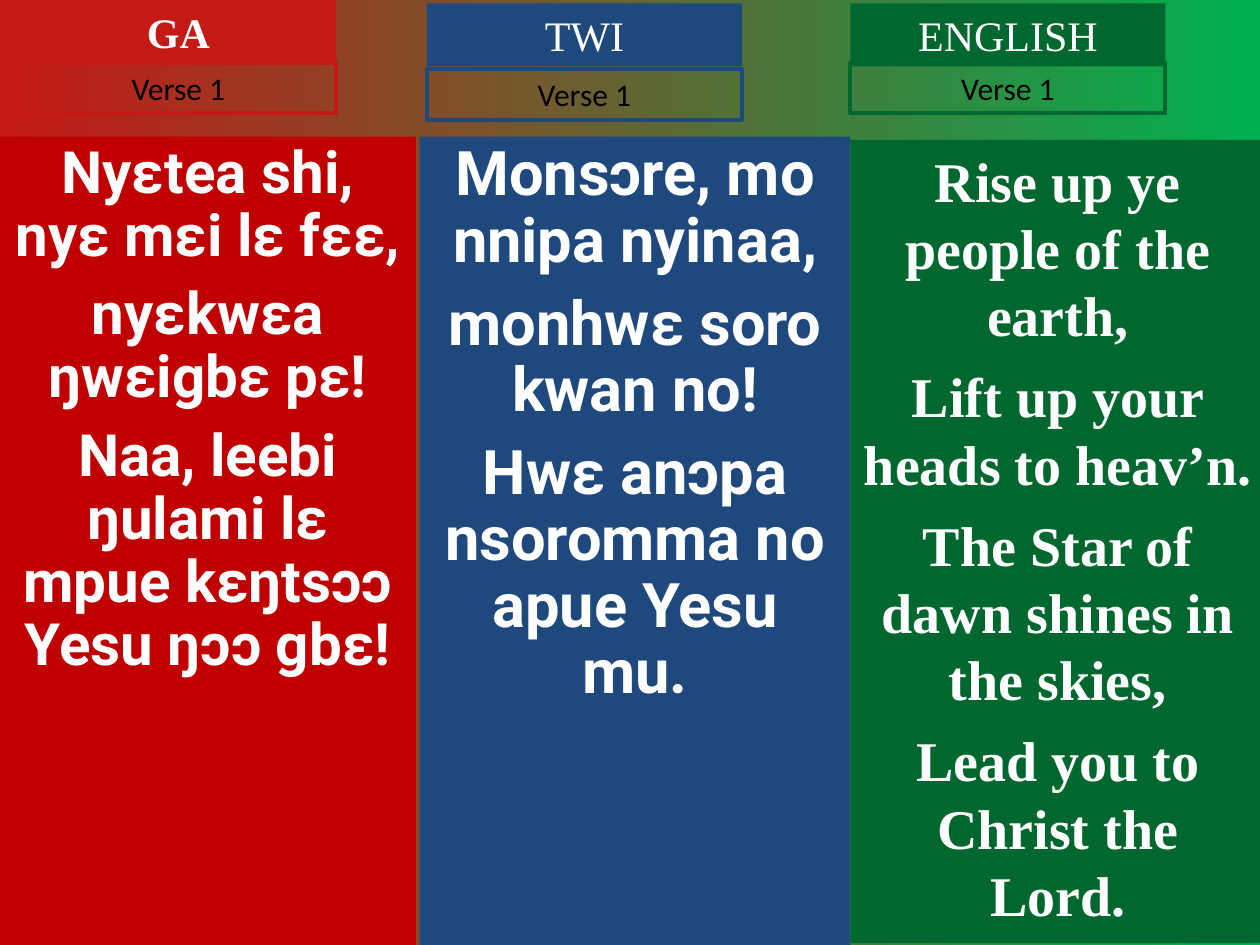
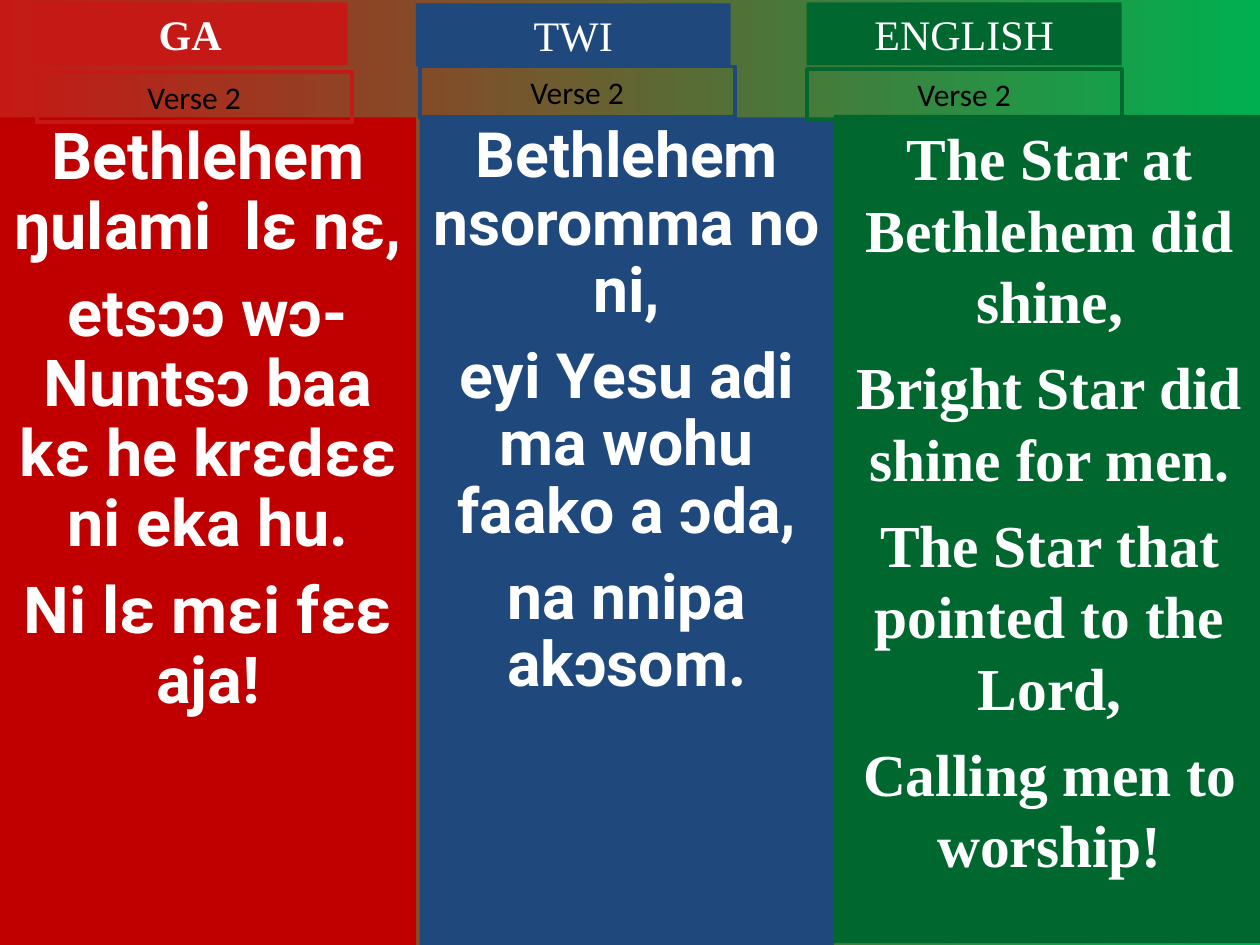
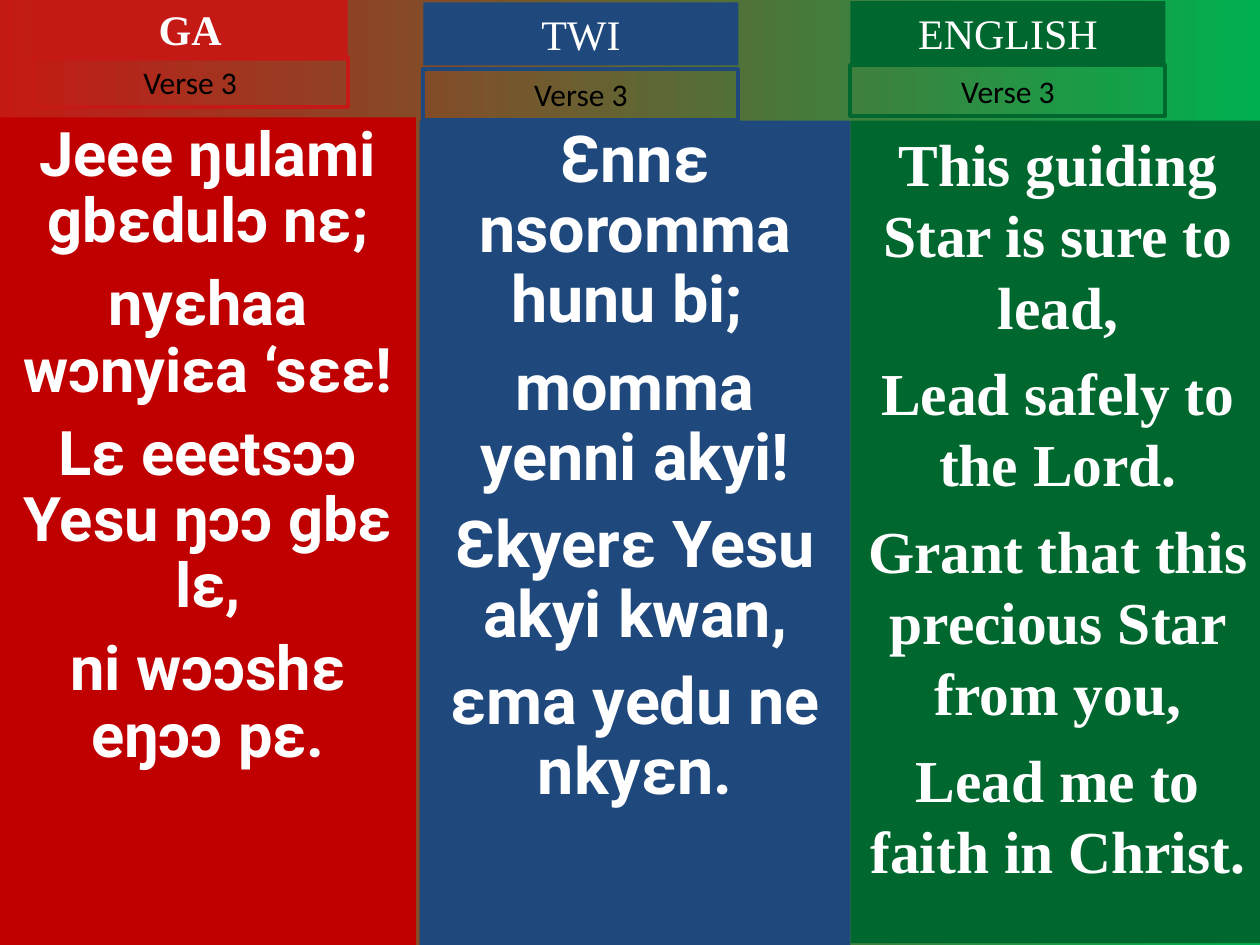
from dataclasses import dataclass

from pptx import Presentation
from pptx.dml.color import RGBColor
from pptx.enum import shapes, text
from pptx.util import Pt
from lxml import etree

WHITE, BLACK = "FFFFFF", "000000"
SERIF, SANS, PLAIN = "Times New Roman", "Roboto", "Calibri"
TAG_W, TAG_H, NOTE_H = 180, 36, 28.8


@dataclass
class Lang:
    name: str
    tint: str
    panel: str
    font: str
    space: float
    low: float
    bold: bool = False


@dataclass
class Part:
    """One language's share of a verse."""
    left: float
    right: float
    top: float
    tag: tuple[float, float]
    note: tuple[float, float]
    size: float
    gap: float
    lines: list[str]


LANGS = [
    Lang("GA", "C51915", "C00000", SANS, 0.9, 540, True),
    Lang("TWI", "1F497D", "1F497D", SANS, 0.9, 540),
    Lang("ENGLISH", "00682F", "00682F", SERIF, 1.0, 539),
]
GA_R, TWI_L, END = 237.6, 239.8, 723

VERSES = [
    [
        Part(0, GA_R, 78, (12, 0), (12, 36), 33.3, 9, [
            "Nyɛtea shi, nyɛ mɛi lɛ fɛɛ,",
            "nyɛkwɛa ŋwɛigbɛ pɛ!",
            "Naa, leebi ŋulami lɛ mpue kɛŋtsɔɔ Yesu ŋɔɔ gbɛ!"]),
        Part(TWI_L, 486, 78, (244, 2), (244, 39.6), 35.1, 9.5, [
            "Monsɔre, mo nnipa nyinaa,",
            "monhwɛ soro kwan no!",
            "Hwɛ anɔpa nsoromma no apue Yesu mu."]),
        Part(486, END, 80, (486, 2), (486, 36), 32, 8, [
            "Rise up ye people of the earth,",
            "Lift up your heads to heav’n.",
            "The Star of dawn shines in the skies,",
            "Lead you to Christ the Lord."]),
    ],
    [
        Part(0, GA_R, 67, (18.7, 1.4), (21, 41), 37, 10, [
            "Bethlehem ŋulami  lɛ nɛ,",
            "etsɔɔ wɔ-Nuntsɔ baa kɛ he krɛdɛɛ ni eka hu.",
            "Ni lɛ mɛi fɛɛ aja!"]),
        Part(TWI_L, 476.6, 67, (237.6, 2), (239.8, 38), 35.7, 10.5, [
            "Bethlehem nsoromma no ni,",
            "eyi Yesu adi ma wohu faako a ɔda,",
            "na nnipa akɔsom."]),
        Part(476.6, END, 65.7, (461, 1.4), (461, 39.6), 34, 8.5, [
            "The Star at Bethlehem did shine,",
            "Bright Star did shine for men.",
            "The Star that pointed to the Lord,",
            "Calling men to worship!"]),
    ],
    [
        Part(0, GA_R, 67, (18.7, -1.4), (18.7, 32.4), 35.1, 9.5, [
            "Jeee ŋulami gbɛdulɔ nɛ;",
            "nyɛhaa wɔnyiɛa ‘sɛɛ!",
            "Lɛ eeetsɔɔ Yesu ŋɔɔ gbɛ lɛ,",
            "ni wɔɔshɛ eŋɔɔ pɛ."]),
        Part(TWI_L, 486, 69, (242, 1.4), (242, 39.6), 37, 10, [
            "Ɛnnɛ nsoromma hunu bi; ",
            "momma yenni akyi!",
            "Ɛkyerɛ Yesu akyi kwan,",
            "ɛma yedu ne nkyɛn."]),
        Part(486, END, 69, (486, 0.7), (486, 37.4), 34, 8.5, [
            "This guiding Star is sure to lead,",
            "Lead safely to the Lord.",
            "Grant that this precious Star from you,",
            "Lead me to faith in Christ."]),
    ],
]


def paint(color, code: str) -> None:
    color.rgb = RGBColor.from_string(code)


def place(shape, left: float, top: float, wide: float, high: float) -> None:
    shape.left, shape.top = Pt(left), Pt(top)
    shape.width, shape.height = Pt(wide), Pt(high)


def fill(shape, code: str) -> None:
    shape.fill.solid()
    paint(shape.fill.fore_color, code)


def write(shape, lines: list[str], font: str, size: float, code: str,
          bold: bool = False, gap: float = 0, space: float = 1.0) -> None:
    """Set centred, unbulleted lines in one style."""
    frame = shape.text_frame
    frame.text = "\n".join(lines)
    frame.word_wrap = True
    frame.auto_size = text.MSO_AUTO_SIZE.NONE
    frame.vertical_anchor = text.MSO_ANCHOR.TOP
    for i, para in enumerate(frame.paragraphs):
        para.alignment = text.PP_ALIGN.CENTER
        para.line_spacing = space
        para.space_before = Pt(gap if i else 0)
        props = para._p.get_or_add_pPr()
        props.set("marL", "0")
        props.set("indent", "0")
        etree.SubElement(props, props.tag.replace("pPr", "buNone"))
        for run in para.runs:
            run.font.name, run.font.size = font, Pt(size)
            run.font.bold = bold
            paint(run.font.color, code)


def draw_panel(shape, lang: Lang, part: Part) -> None:
    place(shape, part.left, part.top, part.right - part.left,
          lang.low - part.top)
    fill(shape, lang.panel)
    write(shape, part.lines, lang.font, part.size, WHITE, True,
          part.gap, lang.space)


def draw_tag(shape, lang: Lang, part: Part) -> None:
    place(shape, *part.tag, TAG_W, TAG_H)
    fill(shape, lang.tint)
    write(shape, [lang.name], SERIF, 24, WHITE, lang.bold)


def draw_note(slide, lang: Lang, part: Part, label: str) -> None:
    note = slide.shapes.add_shape(shapes.MSO_SHAPE.RECTANGLE, 0, 0, 0, 0)
    place(note, *part.note, TAG_W, NOTE_H)
    note.shadow.inherit = False
    note.fill.background()
    paint(note.line.color, lang.tint)
    note.line.width = Pt(2.25)
    write(note, [label], PLAIN, 18, BLACK)


def main() -> None:
    deck = Presentation()
    deck.slide_width, deck.slide_height = Pt(720), Pt(540)

    # Shared backdrop
    back = deck.slide_master.background.fill
    back.gradient()
    back.gradient_angle = 0
    for stop, code in zip(back.gradient_stops, ("C51915", "00B050")):
        paint(stop.color, code)

    # One slide per verse, one column per language
    for num, parts in enumerate(VERSES, 1):
        slide = deck.slides.add_slide(deck.slide_layouts[3])
        title, ga, twi = list(slide.placeholders)[:3]
        box = slide.shapes.add_textbox
        panels = [ga, twi, box(0, 0, 0, 0)]
        tags = [title, box(0, 0, 0, 0), box(0, 0, 0, 0)]
        for lang, part, panel, tag in zip(LANGS, parts, panels, tags):
            draw_panel(panel, lang, part)
            draw_tag(tag, lang, part)
            draw_note(slide, lang, part, f"Verse {num}")

    deck.save("out.pptx")


if __name__ == "__main__":
    main()
